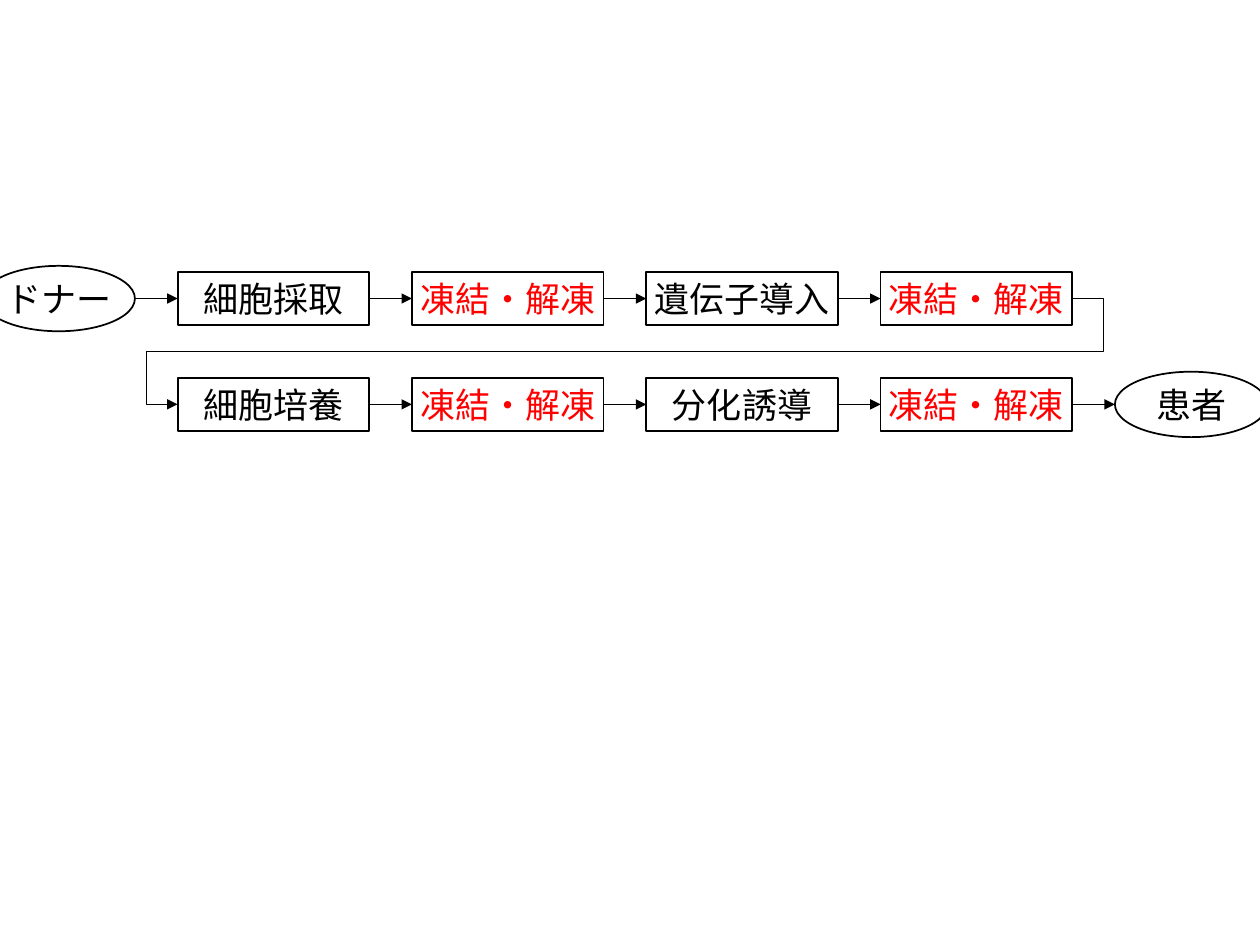
from lxml.etree import SubElement
from pptx import Presentation
from pptx.dml.color import RGBColor
from pptx.enum.shapes import MSO_CONNECTOR, MSO_SHAPE
from pptx.enum.text import MSO_ANCHOR, PP_ALIGN
from pptx.oxml.ns import qn
from pptx.util import Pt

COLORS = {"ink": "000000", "freeze": "FF0000"}
FREEZE = "凍結・解凍"
ROWS = [
    ["細胞採取", FREEZE, "遺伝子導入", FREEZE],
    ["細胞培養", FREEZE, "分化誘導", FREEZE],
]
LEFT, TOP = 101.5, 155.5
BOX_W, BOX_H = 109.5, 30.2
OVAL_W, OVAL_H = 87.1, 37.4
GAP, ROW_STEP = 24.4, 60.5
SIDE_LEFT, SIDE_RIGHT = 1, 3


def color(name):
    return RGBColor.from_string(COLORS[name])


def add_node(slide, kind, text, box, wrap=True):
    node = slide.shapes.add_shape(kind, *(Pt(n) for n in box))
    node.shadow.inherit = False
    node.fill.background()
    node.line.color.rgb = color("ink")
    node.line.width = Pt(1)
    frame = node.text_frame
    frame.word_wrap = wrap
    frame.vertical_anchor = MSO_ANCHOR.MIDDLE
    frame.margin_left = frame.margin_right = Pt(2.9)
    frame.margin_top = frame.margin_bottom = Pt(2.9)
    para = frame.paragraphs[0]
    para.text = text
    para.alignment = PP_ALIGN.CENTER
    para.font.name = "Arial"
    para.font.size = Pt(20)
    para.font.color.rgb = color("freeze" if text == FREEZE else "ink")
    return node


def add_arrow(slide, kind, start, end):
    arrow = slide.shapes.add_connector(
        kind,
        start.left + start.width, start.top + start.height // 2,
        end.left, end.top + end.height // 2,
    )
    arrow.line.color.rgb = color("ink")
    arrow.line.width = Pt(0.5)
    SubElement(arrow.line._get_or_add_ln(), qn("a:tailEnd"), type="triangle")
    SubElement(arrow._element.spPr, qn("a:effectLst"))
    return arrow


def link(slide, start, end):
    arrow = add_arrow(slide, MSO_CONNECTOR.STRAIGHT, start, end)
    if start.auto_shape_type == MSO_SHAPE.RECTANGLE:
        arrow.begin_connect(start, SIDE_RIGHT)
    if end.auto_shape_type == MSO_SHAPE.RECTANGLE:
        arrow.end_connect(end, SIDE_LEFT)


def add_turn(slide, start, end):
    arrow = add_arrow(slide, MSO_CONNECTOR.ELBOW, start, end)
    geom = arrow._element.spPr.find(qn("a:prstGeom"))
    geom.set("prst", "bentConnector5")
    guides = geom.find(qn("a:avLst"))
    for num, value in enumerate((-3500, 50000, 103500), 1):
        SubElement(guides, qn("a:gd"), name=f"adj{num}", fmla=f"val {value}")


def add_row(slide, labels, left, top):
    boxes = [
        add_node(slide, MSO_SHAPE.RECTANGLE, text,
                 (left + i * (BOX_W + GAP), top, BOX_W, BOX_H))
        for i, text in enumerate(labels)
    ]
    for start, end in zip(boxes, boxes[1:]):
        link(slide, start, end)
    return boxes


def add_oval(slide, text, left, top):
    return add_node(slide, MSO_SHAPE.OVAL, text,
                    (left, top - (OVAL_H - BOX_H) / 2, OVAL_W, OVAL_H), False)


def add_flow(slide, left, top):
    low = top + ROW_STEP
    first = add_row(slide, ROWS[0], left, top)
    second = add_row(slide, ROWS[1], left, low)
    donor = add_oval(slide, "ドナー", left - GAP - OVAL_W, top)
    end = left + len(ROWS[1]) * (BOX_W + GAP)
    patient = add_oval(slide, "患者", end, low)
    link(slide, donor, first[0])
    add_turn(slide, first[-1], second[0])
    link(slide, second[-1], patient)


def main():
    deck = Presentation()
    deck.slide_width, deck.slide_height = Pt(720), Pt(540)
    slide = deck.slides.add_slide(deck.slide_layouts[6])
    add_flow(slide, LEFT, TOP)
    deck.save("out.pptx")


if __name__ == "__main__":
    main()
